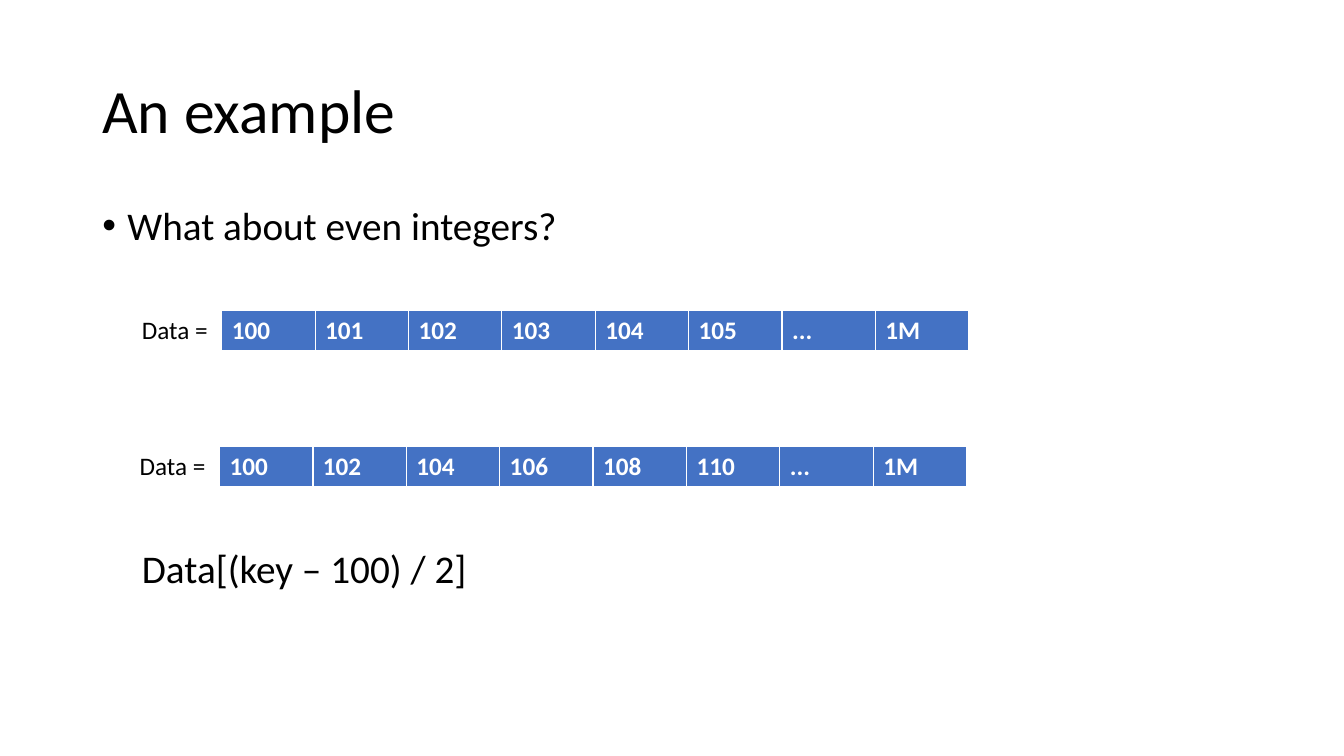
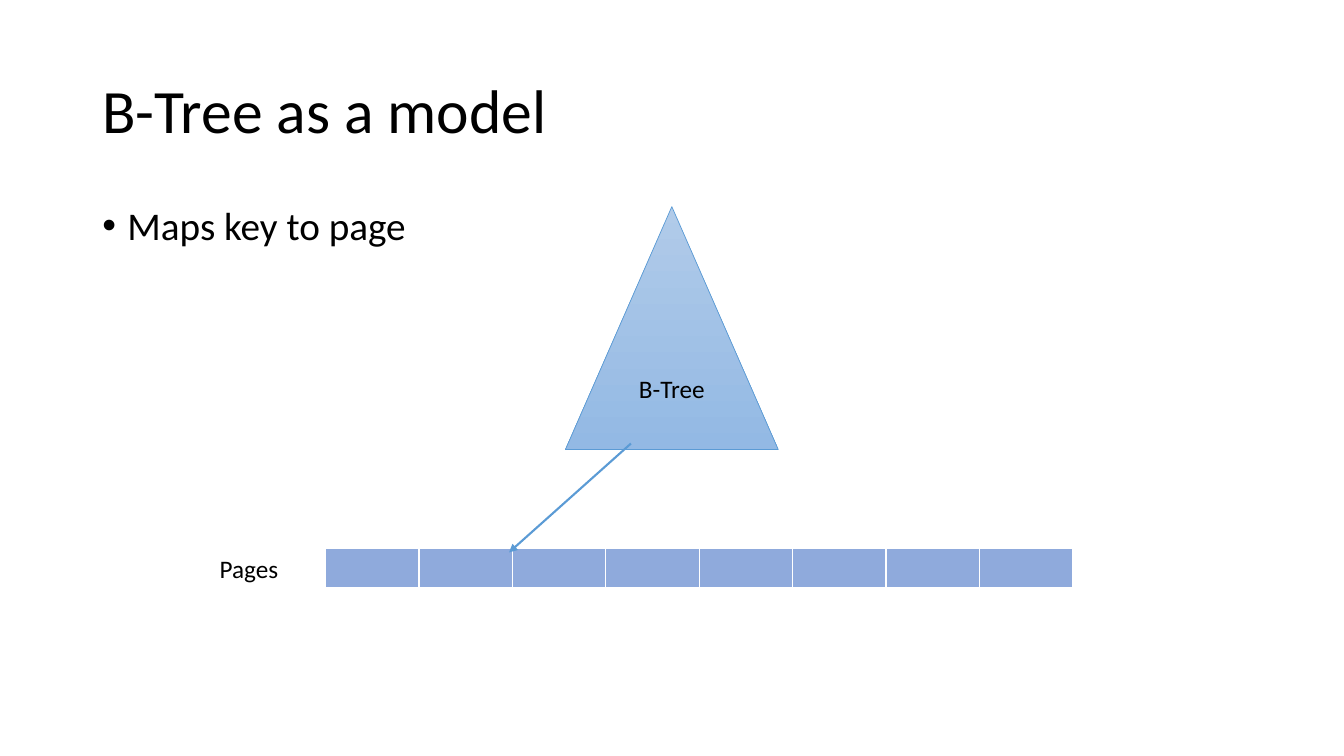
"""Build two slides on index lookups: an array example and the B-tree as a model."""
from dataclasses import dataclass

from lxml import etree
from pptx import Presentation
from pptx.dml.color import RGBColor
from pptx.enum.shapes import MSO_CONNECTOR, MSO_SHAPE
from pptx.enum.text import MSO_ANCHOR, PP_ALIGN
from pptx.oxml.ns import qn
from pptx.util import Pt

TRIANGLE = MSO_SHAPE.ISOSCELES_TRIANGLE
STRAIGHT = MSO_CONNECTOR.STRAIGHT
TOP, MIDDLE = MSO_ANCHOR.TOP, MSO_ANCHOR.MIDDLE
CENTER = PP_ALIGN.CENTER


@dataclass(frozen=True)
class Theme:
    font: str = "Calibri"
    title_size: int = 44
    body_size: int = 28
    label_size: int = 18
    ink: RGBColor = RGBColor.from_string("000000")
    paper: RGBColor = RGBColor.from_string("FFFFFF")
    data_fill: RGBColor = RGBColor.from_string("4472C4")
    page_fill: RGBColor = RGBColor.from_string("8FAADC")
    accent: RGBColor = RGBColor.from_string("5B9BD5")
    tree_top: RGBColor = RGBColor.from_string("B1CBE9")
    tree_bottom: RGBColor = RGBColor.from_string("93B9E4")


theme = Theme()


def add_text(slide, text, box, size, anchor=TOP, line_spacing=1.0, bullet=False):
    frame = slide.shapes.add_textbox(*map(Pt, box)).text_frame
    frame.word_wrap = True
    frame.vertical_anchor = anchor
    paragraph = frame.paragraphs[0]
    paragraph.text = text
    paragraph.line_spacing = line_spacing
    if bullet:
        paragraph.space_before = Pt(10)
        properties = paragraph._p.get_or_add_pPr()
        properties.set("marL", str(Pt(18)))
        properties.set("indent", str(-Pt(18)))
        etree.SubElement(properties, qn("a:buFont"), typeface="Arial")
        etree.SubElement(properties, qn("a:buChar"), char="•")
    paragraph.font.name = theme.font
    paragraph.font.size = Pt(size)
    paragraph.font.color.rgb = theme.ink


def add_array(slide, values, left, top, fill):
    column_width, row_height = 66.7, 29.2
    array = slide.shapes.add_table(
        1, len(values), Pt(left), Pt(top), Pt(column_width * len(values)), Pt(row_height)
    ).table
    for column, value in enumerate(values):
        array.columns[column].width = Pt(column_width)
        cell = array.cell(0, column)
        cell.text = value
        font = cell.text_frame.paragraphs[0].font
        font.name, font.size, font.bold = theme.font, Pt(theme.label_size), True
        font.color.rgb = theme.paper
        properties = cell._tc.get_or_add_tcPr()
        for side, width in (("L", 1), ("R", 1), ("T", 1), ("B", 3)):
            border = etree.SubElement(properties, qn(f"a:ln{side}"), w=str(Pt(width)))
            solid = etree.SubElement(border, qn("a:solidFill"))
            etree.SubElement(solid, qn("a:srgbClr"), val=str(theme.paper))
        cell.fill.solid()
        cell.fill.fore_color.rgb = fill


deck = Presentation()
deck.slide_width, deck.slide_height = Pt(960), Pt(540)
blank = deck.slide_layouts[6]

slides = []
for title, point in (
    ("An example", "What about even integers?"),
    ("B-Tree as a model", "Maps key to page"),
):
    slide = deck.slides.add_slide(blank)
    add_text(slide, title, (66, 28.8, 828, 104.4), theme.title_size, MIDDLE, 0.9)
    add_text(slide, point, (66, 144, 828, 342.7), theme.body_size, TOP, 0.9, bullet=True)
    slides.append(slide)
example, model = slides

for first, step, left, top in ((100, 1, 158.4, 221.8), (100, 2, 156.8, 319.2)):
    keys = [str(first + step * i) for i in range(6)] + ["...", "1M"]
    add_array(example, keys, left, top, theme.data_fill)
    add_text(example, "Data =", (left - 64.1, top - 1, 90, 29), theme.label_size)
add_text(example, "Data[(key – 100) / 2]", (94.3, 385.2, 308.9, 41), theme.body_size)

tree = model.shapes.add_shape(TRIANGLE, Pt(403.9), Pt(147.6), Pt(152), Pt(173.5))
tree.shadow.inherit = False
tree.fill.gradient()
tree.fill.gradient_angle = 270
for stop, color in zip(tree.fill.gradient_stops, (theme.tree_top, theme.tree_bottom)):
    stop.color.rgb = color
tree.line.color.rgb = theme.accent
tree.line.width = Pt(0.5)
tree.text_frame.vertical_anchor = MIDDLE
tree_label = tree.text_frame.paragraphs[0]
tree_label.text = "B-Tree"
tree_label.alignment = CENTER
tree_label.font.name = theme.font
tree_label.font.size = Pt(theme.label_size)
tree_label.font.color.rgb = theme.ink

add_array(model, [""] * 8, 232.6, 391.7, theme.page_fill)
add_text(model, "Pages", (149.8, 391.7, 90, 29), theme.label_size)

lookup = model.shapes.add_connector(STRAIGHT, Pt(450.7), Pt(316.8), Pt(363.6), Pt(394.6))
lookup.line.color.rgb = theme.accent
lookup.line.width = Pt(1.5)
etree.SubElement(lookup.line._get_or_add_ln(), qn("a:tailEnd"), type="triangle")
etree.SubElement(lookup._element.spPr, qn("a:effectLst"))

deck.save("out.pptx")
